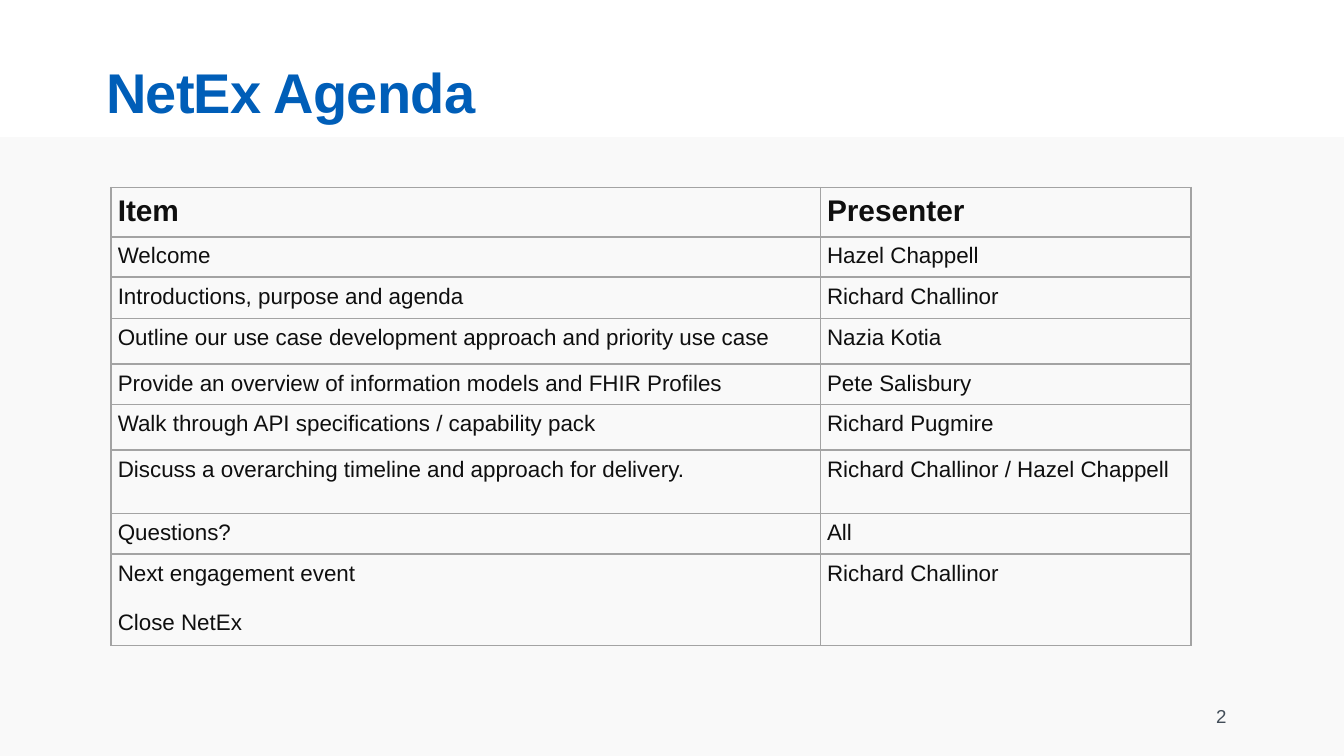
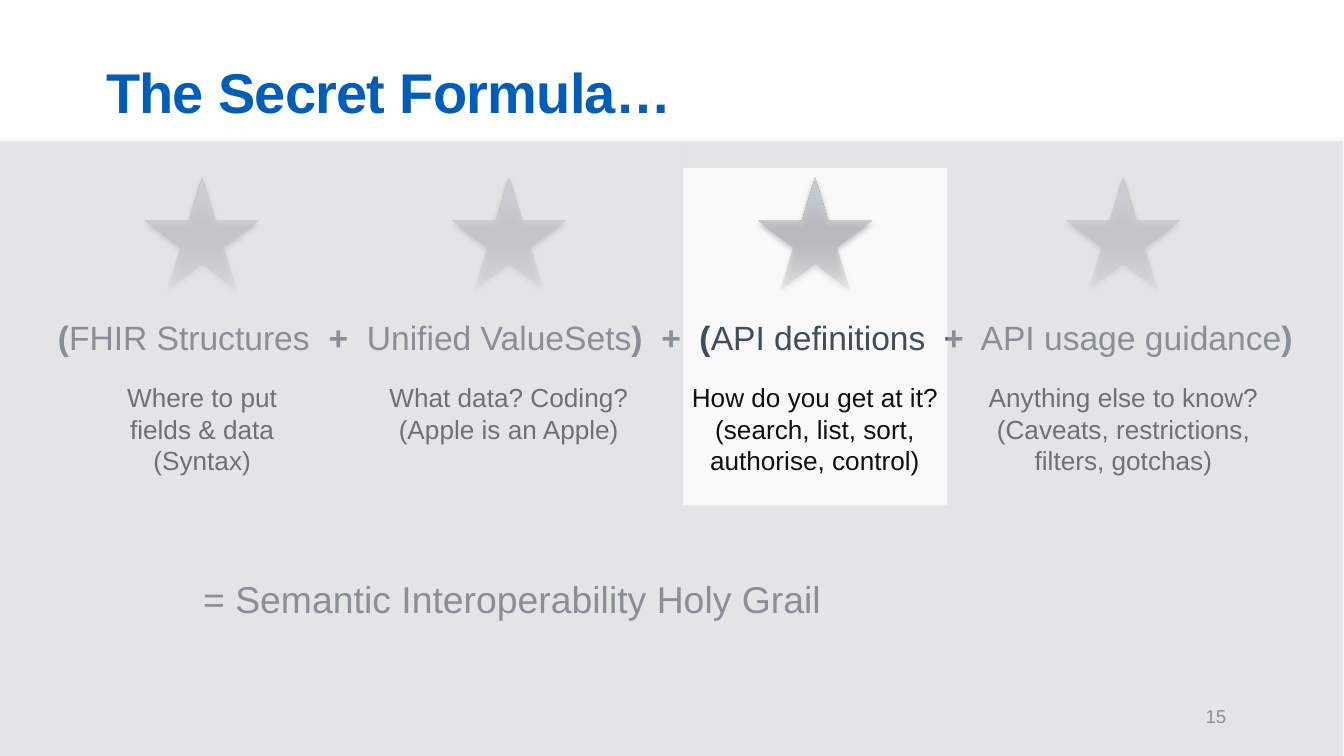
from lxml import etree
from pptx import Presentation
from pptx.dml.color import RGBColor
from pptx.enum.shapes import MSO_SHAPE
from pptx.enum.text import MSO_ANCHOR, PP_ALIGN
from pptx.oxml import parse_xml
from pptx.oxml.ns import nsdecls, qn
from pptx.util import Pt

RECT, STAR = MSO_SHAPE.RECTANGLE, MSO_SHAPE.STAR_5_POINT
MIDDLE = MSO_ANCHOR.MIDDLE
LEFT, CENTER, RIGHT = PP_ALIGN.LEFT, PP_ALIGN.CENTER, PP_ALIGN.RIGHT

FONT = "Arial"
BLUE = RGBColor(0x00, 0x5E, 0xB8)
INK = RGBColor(0x0F, 0x0F, 0x0F)
SLATE = RGBColor(0x42, 0x4D, 0x58)
PALE = RGBColor(0xF9, 0xF9, 0xF9)
VEIL = RGBColor(0xCE, 0xD1, 0xD5)
RULE = RGBColor(0xA3, 0xA3, 0xA3)

PAGE_W, PAGE_H = 720, 405
BAND_TOP = 73.5

# Content of the agenda: item paragraphs, presenter, row height
AGENDA_TITLE = "NetEx Agenda"
AGENDA_ROWS = [
    (["Item"], "Presenter", 25.2),
    (["Welcome"], "Hazel Chappell", 20.9),
    (["Introductions, purpose and agenda"], "Richard Challinor", 22),
    (["Outline our use case development approach and priority use case"],
     "Nazia Kotia", 24.5),
    (["Provide an overview of information models and FHIR Profiles"],
     "Pete Salisbury", 21.6),
    (["Walk through API specifications / capability pack"],
     "Richard Pugmire", 24.5),
    (["Discuss a overarching timeline and approach for delivery."],
     "Richard Challinor / Hazel Chappell", 34),
    (["Questions?"], "All", 20.9),
    (["Next engagement event", "Close NetEx"], "Richard Challinor", 47.8),
]
AGENDA_COLUMNS = (380, 198.5)

# Content of the formula: text and whether it is bold
FORMULA_TITLE = "The Secret Formula…"
FORMULA = [
    ("(", True), ("FHIR Structures  ", False), ("+", True),
    ("  Unified ValueSets", False), (")  +  (", True),
    ("API definitions  ", False), ("+", True),
    ("  API usage guidance", False), (")", True),
]
RESULT = "= Semantic Interoperability Holy Grail"

# Each ingredient: centre, caption width, caption lines
INGREDIENTS = [
    (108.3, 130.3, ["Where to put fields & data", "(Syntax)"]),
    (272.6, 153.4, ["What data? Coding?", "(Apple is an Apple)"]),
    (436.6, 153.4, ["How do you get at it?",
                    "(search, list, sort, authorise, control)"]),
    (601.9, 162.7, ["Anything else to know?",
                    "(Caveats, restrictions, filters, gotchas)"]),
]
STAR_TOP, STAR_SIZE = 95, 60.5
CAPTION_TOP, CAPTION_H = 200.9, 58.3

# Veils leave a window open around the current ingredient
VEIL_TOP, VEIL_MID, VEIL_RIGHT = 75.6, 270.7, 719.3
WINDOW_LEFT, WINDOW_TOP, WINDOW_RIGHT = 365.8, 90, 507.6
VEILS = [
    (0, VEIL_TOP, WINDOW_LEFT, VEIL_MID),
    (WINDOW_RIGHT, VEIL_TOP, VEIL_RIGHT, VEIL_MID),
    (0, VEIL_MID, VEIL_RIGHT, PAGE_H),
    (WINDOW_LEFT, VEIL_TOP, WINDOW_RIGHT, WINDOW_TOP),
]

STAR_FILL = f"""<a:gradFill {nsdecls("a")} rotWithShape="1"><a:gsLst>
<a:gs pos="0"><a:srgbClr val="999CA0"><a:alpha val="8000"/></a:srgbClr></a:gs>
<a:gs pos="80000"><a:srgbClr val="C7CACF"/></a:gs>
<a:gs pos="100000"><a:srgbClr val="C7CBD1"/></a:gs>
</a:gsLst><a:lin ang="16200000" scaled="0"/></a:gradFill>"""
STAR_SHADOW = f"""<a:effectLst {nsdecls("a")}>
<a:outerShdw blurRad="{Pt(3.1)}" dist="{Pt(1.8)}" dir="5400000" rotWithShape="0">
<a:srgbClr val="000000"><a:alpha val="35000"/></a:srgbClr>
</a:outerShdw></a:effectLst>"""


def add_span(para, text, size, color, bold=False):
    span = para.add_run()
    span.text = text
    font = span.font
    font.name, font.size, font.bold = FONT, Pt(size), bold
    font.color.rgb = color
    return span


def set_insets(frame, inset):
    frame.margin_left = frame.margin_right = Pt(inset)
    frame.margin_top = frame.margin_bottom = Pt(inset)


def add_text_box(page, left, top, width, height, align=LEFT):
    box = page.shapes.add_textbox(Pt(left), Pt(top), Pt(width), Pt(height))
    frame = box.text_frame
    frame.word_wrap = True
    frame.paragraphs[0].alignment = align
    return frame


def add_plain_shape(page, kind, left, top, width, height, color):
    shape = page.shapes.add_shape(kind, Pt(left), Pt(top), Pt(width), Pt(height))
    shape.shadow.inherit = False
    shape.fill.solid()
    shape.fill.fore_color.rgb = color
    shape.line.fill.background()
    return shape


def add_page(deck, title, number):
    page = deck.slides.add_slide(deck.slide_layouts[5])
    # Pale band behind everything
    band = add_plain_shape(page, RECT, 0, BAND_TOP, PAGE_W, PAGE_H - BAND_TOP, PALE)
    page.shapes.title.element.addprevious(band.element)
    # Title
    heading = page.shapes.title
    heading.left, heading.top = Pt(56.8), Pt(28)
    heading.width, heading.height = Pt(601), Pt(41.8)
    frame = heading.text_frame
    set_insets(frame, 0)
    frame.vertical_anchor = MIDDLE
    para = frame.paragraphs[0]
    para.alignment = LEFT
    span = add_span(para, title, 30, BLUE, True)
    span.font._element.set("spc", "-40")
    # Page number
    frame = add_text_box(page, 496, 372.9, 168, 21.6, RIGHT)
    frame.vertical_anchor = MIDDLE
    add_span(frame.paragraphs[0], str(number), 10, SLATE)
    return page


def set_borders(cell):
    props = cell._tc.get_or_add_tcPr()
    for position, side in enumerate(("a:lnL", "a:lnR", "a:lnT", "a:lnB")):
        line = etree.Element(qn(side), w=str(Pt(1)))
        fill = etree.SubElement(line, qn("a:solidFill"))
        etree.SubElement(fill, qn("a:srgbClr"), val=str(RULE))
        props.insert(position, line)


def fill_cell(cell, lines, size, bold):
    set_insets(cell, 3.6)
    cell.fill.background()
    set_borders(cell)
    for index, line in enumerate(lines):
        frame = cell.text_frame
        para = frame.add_paragraph() if index else frame.paragraphs[0]
        para.space_before = Pt(13 if index else 0)
        add_span(para, line, size, INK, bold)


def build_agenda(deck):
    page = add_page(deck, AGENDA_TITLE, 2)
    height = sum(row[2] for row in AGENDA_ROWS)
    table = page.shapes.add_table(
        len(AGENDA_ROWS), len(AGENDA_COLUMNS), Pt(59.5), Pt(100.5),
        Pt(sum(AGENDA_COLUMNS)), Pt(height)).table
    table.first_row = table.horz_banding = False
    for column, width in zip(table.columns, AGENDA_COLUMNS):
        column.width = Pt(width)
    for index, (item, presenter, row_height) in enumerate(AGENDA_ROWS):
        table.rows[index].height = Pt(row_height)
        header = index == 0
        for column, lines in enumerate((item, [presenter])):
            fill_cell(table.cell(index, column), lines, 16 if header else 12, header)


def add_star(page, center):
    star = add_plain_shape(page, STAR, center - STAR_SIZE / 2, STAR_TOP,
                           STAR_SIZE, STAR_SIZE, VEIL)
    props = star.element.spPr
    props.replace(props.find(qn("a:solidFill")), parse_xml(STAR_FILL))
    props.replace(props.find(qn("a:effectLst")), parse_xml(STAR_SHADOW))


def add_caption(page, center, width, lines):
    frame = add_text_box(page, center - width / 2, CAPTION_TOP, width, CAPTION_H, CENTER)
    para = frame.paragraphs[0]
    for index, line in enumerate(lines):
        if index:
            para.add_line_break()
        add_span(para, line, 14, INK)


def build_formula(deck):
    page = add_page(deck, FORMULA_TITLE, 15)
    for center, width, lines in INGREDIENTS:
        add_star(page, center)
        add_caption(page, center, width, lines)

    # Formula line and its result
    frame = add_text_box(page, 31, 170, 669, 199)
    set_insets(frame, 0)
    for text, bold in FORMULA:
        add_span(frame.paragraphs[0], text, 18, SLATE, bold)
    result = frame.add_paragraph()
    result.space_before = Pt(117)
    result._p.get_or_add_pPr().set("marL", str(Pt(77.8)))
    add_span(result, RESULT, 20, SLATE)

    # Half-transparent veils
    for left, top, right, bottom in VEILS:
        veil = add_plain_shape(page, RECT, left, top, right - left, bottom - top, VEIL)
        color = veil.element.spPr.find(qn("a:solidFill"))[0]
        etree.SubElement(color, qn("a:alpha"), val="50000")


def main():
    deck = Presentation()
    deck.slide_width, deck.slide_height = Pt(PAGE_W), Pt(PAGE_H)
    build_agenda(deck)
    build_formula(deck)
    deck.save("out.pptx")


if __name__ == "__main__":
    main()
